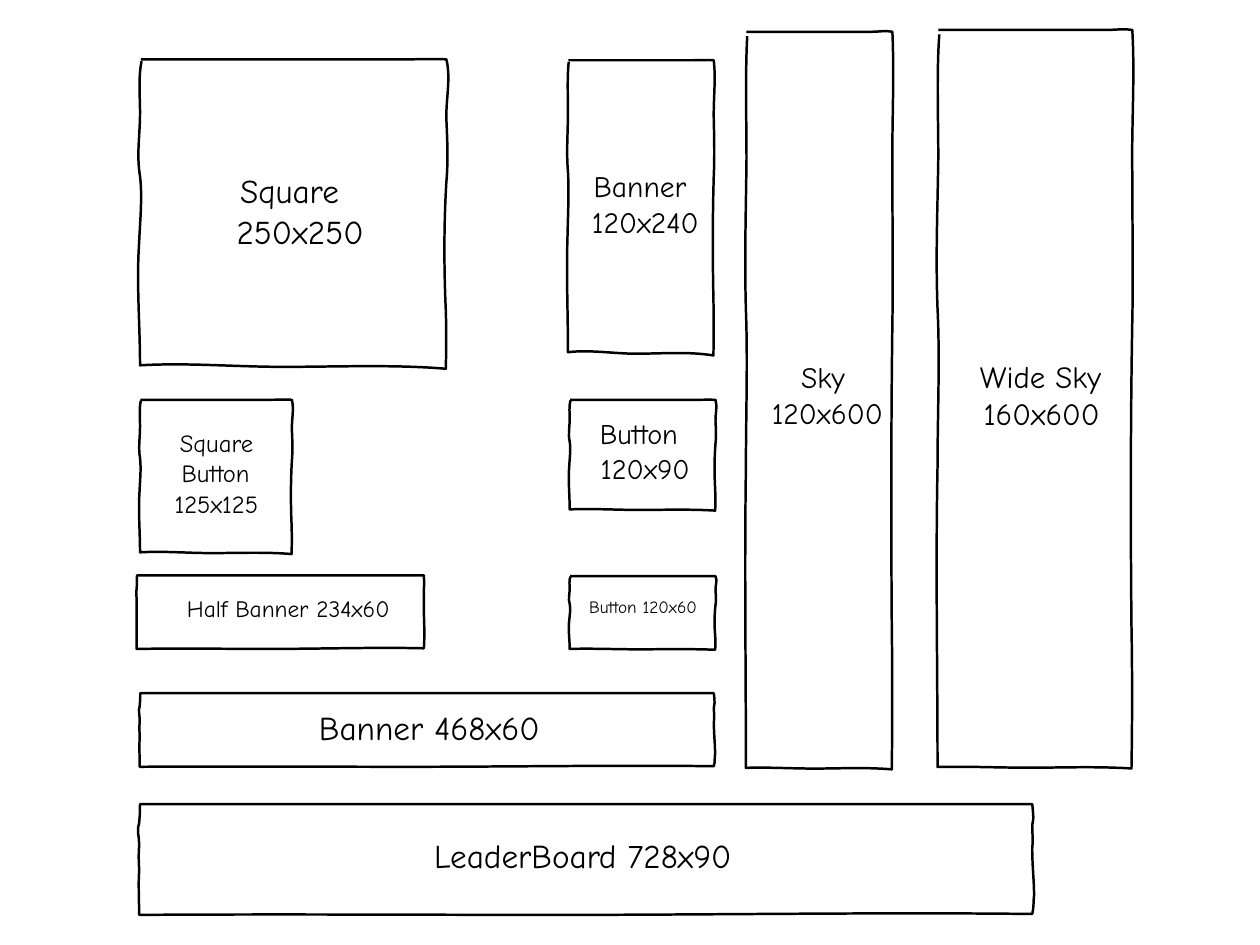
from dataclasses import dataclass

from lxml.etree import SubElement
from pptx import Presentation
from pptx.dml.color import RGBColor
from pptx.enum.text import MSO_ANCHOR, MSO_AUTO_SIZE, PP_ALIGN
from pptx.oxml.ns import qn
from pptx.util import Inches, Pt


@dataclass(frozen=True)
class Theme:
    font: str = "Comic Neue"
    ink: RGBColor = RGBColor(0, 0, 0)
    paper: RGBColor = RGBColor(255, 255, 255)
    stroke: float = 2
    huge: int = 27
    wide: int = 25
    large: int = 24
    medium: int = 23
    small: int = 20
    compact: int = 19
    tiny: int = 14


# Hand-drawn outlines: a start point, then cubic curves (two controls and an end),
# all in percent of the frame's width and height
BLOCK = [
    (0.9, 0),
    (29.1, 0), (57.3, 0), (85.8, 0),
    (90, 0), (94.9, -0.2), (99.1, 0),
    (100.6, 6.3), (98.9, 12.9), (99.1, 19.5),
    (99.4, 26.1), (99.7, 33), (99.1, 39.5),
    (98.3, 53), (98.3, 67), (98.9, 80.8),
    (99.1, 87.1), (99.1, 93.4), (98.9, 100),
    (82.1, 98.6), (63.8, 99.4), (46.7, 99.4),
    (31.3, 99.4), (15.7, 98), (0.6, 98.9),
    (0.6, 85.7), (-0.6, 72.5), (0.3, 59.3),
    (0.6, 52.1), (1.4, 44.7), (0.6, 37.8),
    (-0.6, 30.7), (0.6, 24.6), (0.6, 17.2),
    (0.6, 12), (0, 5.7), (1.1, 0.6),
]
TOWER = [
    (0.9, 0.1),
    (29.3, 0.1), (57.7, 0.1), (86, 0.1),
    (90.5, 0.1), (95, -0.1), (99.5, 0.1),
    (100.9, 6.5), (99.1, 12.8), (99.5, 19.4),
    (99.5, 26.2), (100, 33), (99.5, 39.6),
    (98.6, 53.2), (98.6, 67.2), (99.1, 80.8),
    (99.5, 87), (99.5, 93.4), (99.1, 100.1),
    (80.2, 99.8), (64, 100), (46.8, 100),
    (31.5, 100), (15.8, 99.8), (0.5, 99.9),
    (0.5, 86.7), (-0.5, 72.5), (0.5, 59.3),
    (0.5, 52.3), (1.8, 44.7), (0.5, 37.8),
    (-0.5, 30.6), (0.5, 24.8), (0.9, 17.4),
    (0.9, 12.1), (0, 5.8), (1.4, 0.7),
]
STRIP = [
    (0.2, 0),
    (28.9, 0), (57.7, 0), (86.3, 0),
    (90.8, 0), (95.5, 0), (99.8, 0),
    (100, 16), (99.9, 12.8), (99.8, 19.2),
    (99.8, 25.6), (99.9, 32), (99.8, 40),
    (99.8, 56.8), (100, 68), (100, 82.4),
    (99.9, 88.8), (100, 92.8), (99.8, 99.2),
    (82.7, 97.6), (64.1, 100), (46.8, 100),
    (31.3, 100), (15.5, 99.2), (0.1, 100),
    (0.1, 86.4), (0, 72), (0.1, 60.8),
    (0.1, 53.6), (0, 50.4), (0.1, 37.6),
    (0.1, 26.4), (-0.2, 24.8), (0.1, 17.6),
    (0.1, 12), (0.2, 15.2), (0.2, 0),
]


def bend(shape):
    """Turn every three line segments of a freeform into one cubic curve."""
    lines = list(shape.element.iter(qn("a:lnTo")))
    contour = lines[0].getparent()
    for first in range(0, len(lines), 3):
        curve = SubElement(contour, qn("a:cubicBezTo"))
        for line in lines[first:first + 3]:
            curve.append(line[0])
            contour.remove(line)


class Sketcher:
    def __init__(self, page, theme):
        self.page = page
        self.theme = theme
        page.background.fill.solid()
        page.background.fill.fore_color.rgb = theme.paper

    def frame(self, outline, left, top, width, height):
        points = [(Inches(left + x * width / 100), Inches(top + y * height / 100))
                  for x, y in outline]
        builder = self.page.shapes.build_freeform(*points[0])
        builder.add_line_segments(points[1:], close=False)
        shape = builder.convert_to_shape()
        bend(shape)
        shape.shadow.inherit = False
        shape.fill.background()
        shape.line.color.rgb = self.theme.ink
        shape.line.width = Pt(self.theme.stroke)

    def label(self, text, left, top, width, size):
        height = size / 60 + 0.08
        box = self.page.shapes.add_textbox(
            Inches(left), Inches(top), Inches(width), Inches(height))
        body = box.text_frame
        body.word_wrap = False
        body.auto_size = MSO_AUTO_SIZE.SHAPE_TO_FIT_TEXT
        body.vertical_anchor = MSO_ANCHOR.MIDDLE
        body.margin_left = body.margin_right = Inches(0.04)
        body.margin_top = body.margin_bottom = Inches(0.04)
        para = body.paragraphs[0]
        para.alignment = PP_ALIGN.LEFT
        span = para.add_run()
        span.text = text
        span.font.name = self.theme.font
        span.font.size = Pt(size)
        span.font.color.rgb = self.theme.ink


def main():
    deck = Presentation()
    deck.slide_width, deck.slide_height = Inches(14.22), Inches(10.66)
    theme = Theme()
    sketch = Sketcher(deck.slides.add_slide(deck.slide_layouts[6]), theme)

    # Advertising formats: outline, left, top, width, height
    for ad_format in [
        (BLOCK, 1.56, 0.67, 3.51, 3.49),
        (BLOCK, 1.57, 4.51, 1.74, 1.74),
        (BLOCK, 6.42, 4.51, 1.67, 1.25),
        (BLOCK, 6.4, 0.68, 1.67, 3.33),
        (TOWER, 8.41, 0.35, 1.67, 8.32),
        (TOWER, 10.57, 0.33, 2.22, 8.33),
        (BLOCK, 6.42, 6.5, 1.67, 0.83),
        (STRIP, 1.56, 9.07, 10.11, 1.25),
        (STRIP, 1.57, 7.82, 6.5, 0.83),
        (STRIP, 1.54, 6.49, 3.25, 0.83),
    ]:
        sketch.frame(*ad_format)

    # Names and pixel sizes: text, left, top, width, type size
    for caption in [
        ("LeaderBoard 728x90", 4.86, 9.38, 3.73, theme.huge),
        ("Banner 468x60", 3.56, 7.94, 2.74, theme.huge),
        ("Half Banner 234x60", 2.07, 6.66, 2.52, theme.compact),
        ("Square", 2.67, 1.88, 1.33, theme.huge),
        ("250x250", 2.63, 2.34, 1.57, theme.huge),
        ("Banner", 6.66, 1.86, 1.31, theme.large),
        ("120x240", 6.64, 2.26, 1.4, theme.large),
        ("Button", 6.73, 4.66, 1.2, theme.medium),
        ("120x90", 6.74, 5.05, 1.17, theme.medium),
        ("Square", 1.99, 4.79, 1.08, theme.small),
        ("Button", 2.01, 5.13, 1.05, theme.small),
        ("125x125", 1.93, 5.48, 1.19, theme.small),
        ("Button 120x60", 6.61, 6.69, 1.42, theme.tiny),
        ("Sky", 9, 4.01, 0.62, theme.large),
        ("120x600", 8.67, 4.41, 1.4, theme.large),
        ("Wide Sky", 11.02, 3.99, 1.64, theme.wide),
        ("160x600", 11.06, 4.41, 1.46, theme.wide),
    ]:
        sketch.label(*caption)

    deck.save("out.pptx")


if __name__ == "__main__":
    main()
